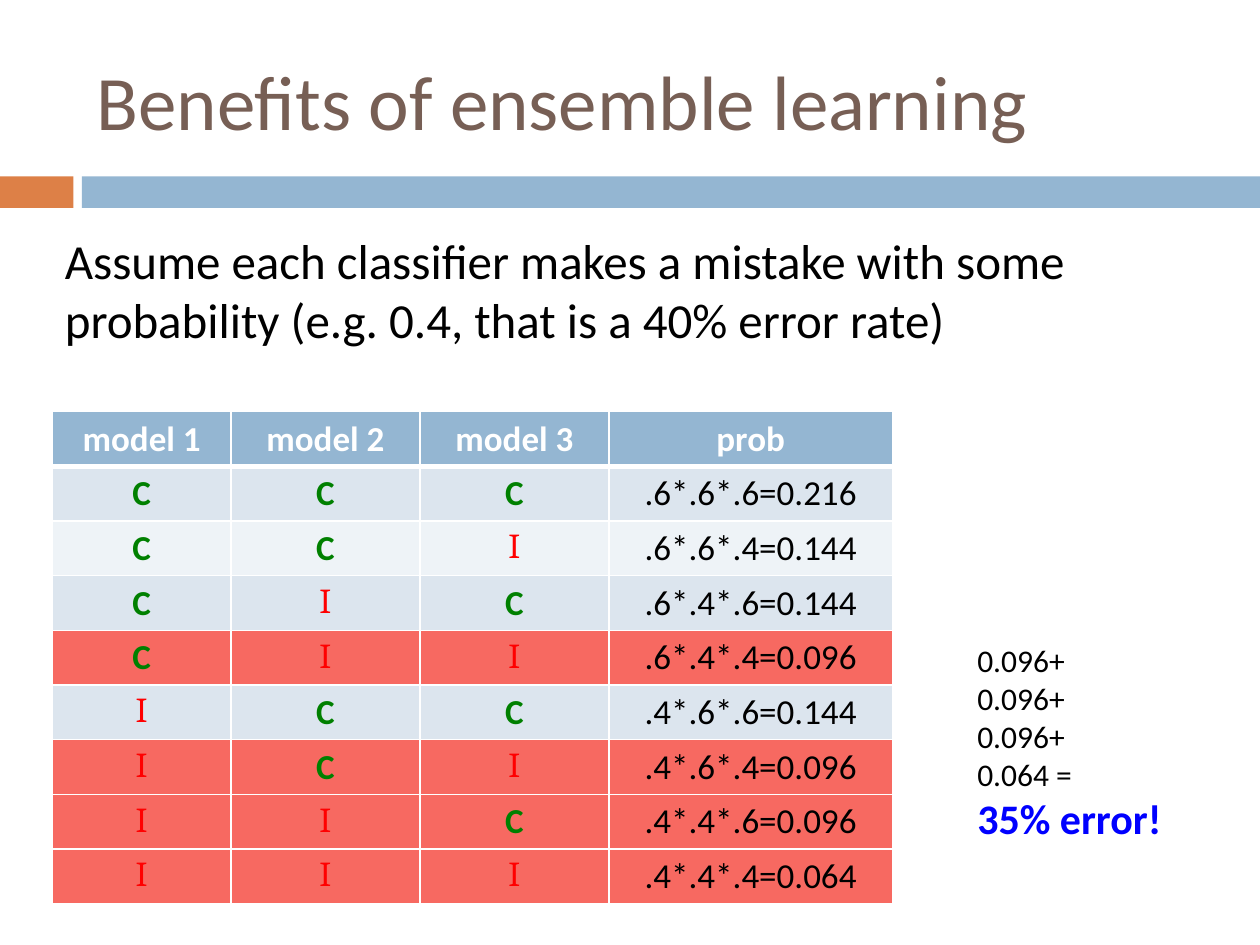
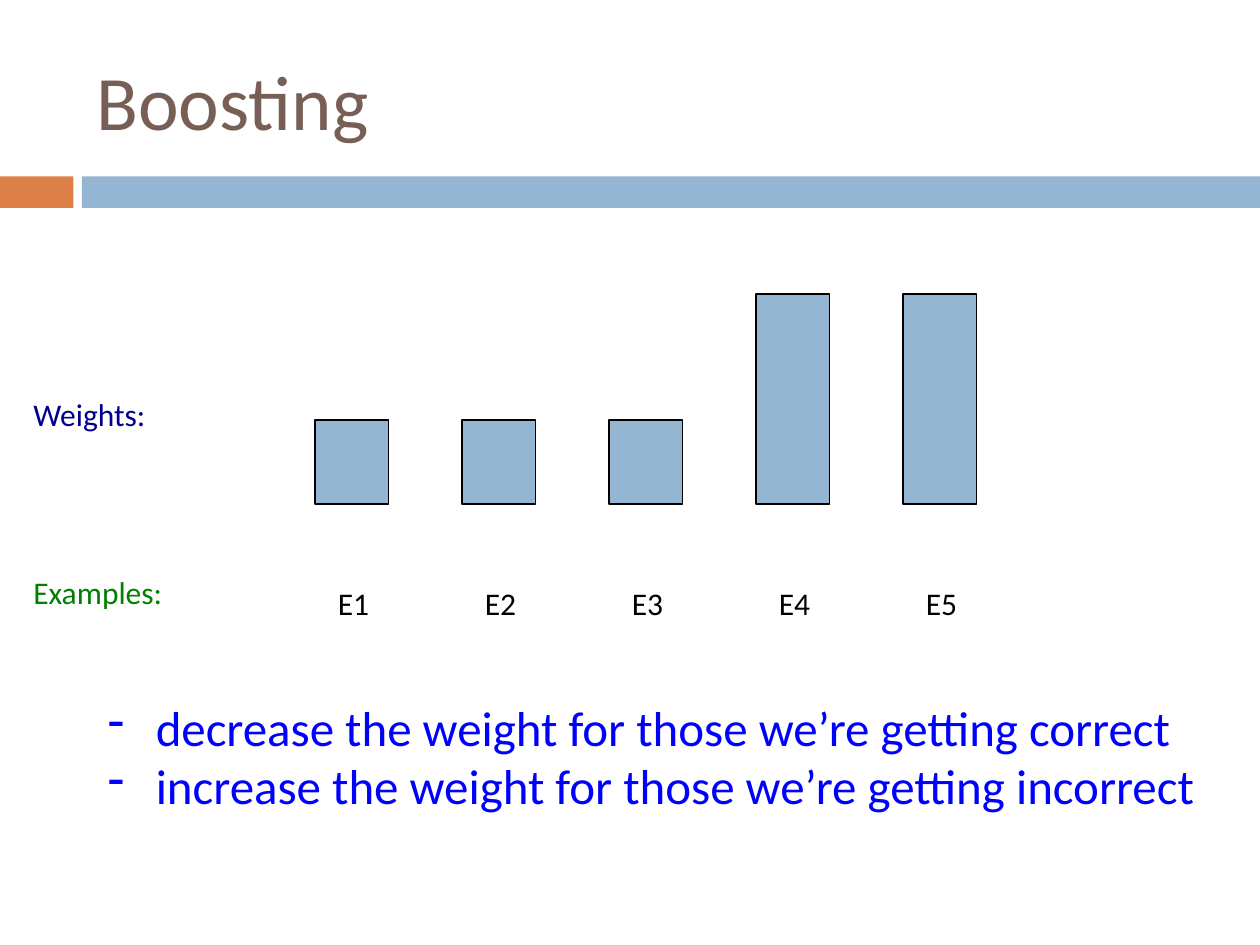
import itertools
import math
from typing import NamedTuple

import pptx
import pptx.dml.color
import pptx.enum.shapes
import pptx.enum.text
import pptx.oxml
import pptx.oxml.ns
import pptx.util
from pptx.dml.color import RGBColor

# Colours and fonts
WHITE = RGBColor(0xFF, 0xFF, 0xFF)
BLACK = RGBColor(0x00, 0x00, 0x00)
BROWN = RGBColor(0x77, 0x5F, 0x55)
ORANGE = RGBColor(0xDD, 0x80, 0x47)
STEEL = RGBColor(0x94, 0xB6, 0xD2)
STRIPES = (RGBColor(0xDC, 0xE5, 0xEE), RGBColor(0xEE, 0xF3, 0xF7))
SALMON = RGBColor(0xF7, 0x69, 0x61)
GREEN = RGBColor(0x00, 0x80, 0x00)
RED = RGBColor(0xFF, 0x00, 0x00)
BLUE = RGBColor(0x00, 0x00, 0xFF)
NAVY = RGBColor(0x00, 0x00, 0x90)
BODY_FONT = "Calibri"
MARK_FONT = "Cambria"

# The slide is a grid of 120 columns and 90 rows of square cells
WIDTH = pptx.util.Inches(10)
HEIGHT = pptx.util.Inches(7.5)
COLUMNS = 120
CELL = WIDTH / COLUMNS
TITLE_ONLY = 5


class Box(NamedTuple):
    """A place on the grid, in columns and rows."""
    column: float
    row: float
    columns: float
    rows: float

    def lengths(self) -> list[int]:
        return [grid(cells) for cells in self]


class Band(NamedTuple):
    box: Box
    color: RGBColor


class Example(NamedTuple):
    name: str
    weight_rows: float


BANDS = (
    Band(Box(0, 16.8, 7, 3), ORANGE),
    Band(Box(7.8, 16.8, COLUMNS - 7.8, 3), STEEL),
)
TITLE_BOX = Box(8, 3, 107, 13)


def grid(cells: float) -> int:
    return round(cells * CELL)


def write(paragraph, text: str, *, size: float = 18, color: RGBColor = BLACK,
          bold: bool = False, font: str = BODY_FONT, centered: bool = False,
          bullet: str = "") -> None:
    """Fill one paragraph with formatted text."""
    if bullet:
        indent = pptx.util.Inches(0.38)
        properties = paragraph._p.get_or_add_pPr()
        properties.set("marL", str(indent))
        properties.set("indent", str(-indent))
        mark = pptx.oxml.parse_xml(
            f'<a:buChar {pptx.oxml.ns.nsdecls("a")} char="{bullet}"/>')
        properties.append(mark)
    alignment = pptx.enum.text.PP_ALIGN
    paragraph.alignment = alignment.CENTER if centered else alignment.LEFT
    run = paragraph.add_run()
    run.text = text
    run.font.name = font
    run.font.size = pptx.util.Pt(size)
    run.font.bold = bold
    run.font.color.rgb = color


def add_text(slide, box: Box, *lines: str, wrap: bool = True, **style):
    """Add a text box with one paragraph per line."""
    frame = slide.shapes.add_textbox(*box.lengths()).text_frame
    frame.word_wrap = wrap
    for index, line in enumerate(lines):
        paragraph = frame.add_paragraph() if index else frame.paragraphs[0]
        write(paragraph, line, **style)
    return frame


def add_rectangle(slide, box: Box, color: RGBColor, outlined: bool = False) -> None:
    shape = slide.shapes.add_shape(
        pptx.enum.shapes.MSO_SHAPE.RECTANGLE, *box.lengths())
    shape.shadow.inherit = False
    shape.fill.solid()
    shape.fill.fore_color.rgb = color
    if outlined:
        shape.line.color.rgb = BLACK
        shape.line.width = pptx.util.Pt(0.75)
    else:
        shape.line.fill.background()


def add_titled_slide(presentation, title: str):
    """Add a slide with the shared title style and bands."""
    slide = presentation.slides.add_slide(presentation.slide_layouts[TITLE_ONLY])
    for band in BANDS:
        add_rectangle(slide, band.box, band.color)
    placeholder = slide.shapes.title
    (placeholder.left, placeholder.top,
     placeholder.width, placeholder.height) = TITLE_BOX.lengths()
    frame = placeholder.text_frame
    frame.auto_size = pptx.enum.text.MSO_AUTO_SIZE.NONE
    frame.vertical_anchor = pptx.enum.text.MSO_ANCHOR.MIDDLE
    write(frame.paragraphs[0], title, size=44, color=BROWN)
    return slide


def add_borders(cell, top: float = 1, bottom: float = 1) -> None:
    """Draw white borders, widths in points."""
    properties = cell._tc.get_or_add_tcPr()
    sides = (("lnL", 1), ("lnR", 1), ("lnT", top), ("lnB", bottom))
    for position, (side, points) in enumerate(sides):
        line = pptx.oxml.parse_xml(
            f'<a:{side} {pptx.oxml.ns.nsdecls("a")} w="{pptx.util.Pt(points)}">'
            f'<a:solidFill><a:srgbClr val="{WHITE}"/></a:solidFill></a:{side}>')
        properties.insert(position, line)


def fill_row(table, row: int, entries: list[tuple[str, dict]],
             color: RGBColor) -> None:
    """Write one table row; a thick rule parts the header from the rest."""
    for column, (text, style) in enumerate(entries):
        cell = table.cell(row, column)
        cell.fill.solid()
        cell.fill.fore_color.rgb = color
        add_borders(cell, top=3 if row == 1 else 1, bottom=3 if row == 0 else 1)
        write(cell.text_frame.paragraphs[0], text, size=20, centered=True, **style)


def add_probability_table(slide) -> None:
    """List every outcome of three models: C is correct, I is incorrect."""
    chances = {"C": 0.6, "I": 0.4}
    styles = {"C": dict(color=GREEN, bold=True),
              "I": dict(color=RED, font=MARK_FONT)}
    outcomes = list(itertools.product(chances, repeat=3))
    column_widths = (17, 18, 18, 27)
    row_height = 5.2
    row_count = len(outcomes) + 1
    box = Box(5, 39.2, sum(column_widths), row_height * row_count)
    table = slide.shapes.add_table(
        row_count, len(column_widths), *box.lengths()).table
    for column, width in zip(table.columns, column_widths):
        column.width = grid(width)
    for row in table.rows:
        row.height = grid(row_height)

    headings = ("model 1", "model 2", "model 3", "prob")
    fill_row(table, 0, [(heading, dict(color=WHITE, bold=True))
                        for heading in headings], STEEL)
    for index, outcome in enumerate(outcomes):
        factors = [chances[mark] for mark in outcome]
        product = "*".join(f"{factor:.1f}".lstrip("0") for factor in factors)
        majority_wrong = outcome.count("I") >= 2
        entries = [(mark, styles[mark]) for mark in outcome]
        entries.append((f"{product}={math.prod(factors):.3f}", {}))
        fill_row(table, index + 1, entries,
                 SALMON if majority_wrong else STRIPES[index % 2])


def build_benefits(presentation) -> None:
    slide = add_titled_slide(presentation, "Benefits of ensemble learning")
    add_text(slide, Box(5, 21.4, 103.5, 12.5),
             "Assume each classifier makes a mistake with some probability "
             "(e.g. 0.4, that is a 40% error rate)", size=28)
    add_probability_table(slide)
    # Sum of the outcomes where the majority is wrong
    total = add_text(slide, Box(91.9, 60.5, 20.4, 20.6),
                     "0.096+", "0.096+", "0.096+", "0.064 =", wrap=False)
    write(total.add_paragraph(), "35% error!", size=24, color=BLUE, bold=True)


def build_boosting(presentation) -> None:
    slide = add_titled_slide(presentation, "Boosting")
    # Weight bars on a common baseline, each with its example below
    baseline, first_column, pitch = 48, 30, 14
    examples = [Example(f"E{number}", 8 if number <= 3 else 20)
                for number in range(1, 6)]
    for index, example in enumerate(examples):
        column = first_column + index * pitch
        height = example.weight_rows
        add_rectangle(slide, Box(column, baseline - height, 7, height),
                      STEEL, outlined=True)
        add_text(slide, Box(column + 1, 55, 13, 5.9), example.name)
    # Row labels
    add_text(slide, Box(2, 54, 24, 5.9), "Examples:", color=GREEN)
    add_text(slide, Box(2, 37, 23, 5.9), "Weights:", color=NAVY)
    # Update rule
    add_text(slide, Box(9.1, 65.8, 108.7, 12.5),
             "decrease the weight for those we’re getting correct",
             "increase the weight for those we’re getting incorrect",
             size=28, color=BLUE, bullet="-")


def main() -> None:
    presentation = pptx.Presentation()
    presentation.slide_width = WIDTH
    presentation.slide_height = HEIGHT
    build_benefits(presentation)
    build_boosting(presentation)
    presentation.save("out.pptx")


if __name__ == "__main__":
    main()
